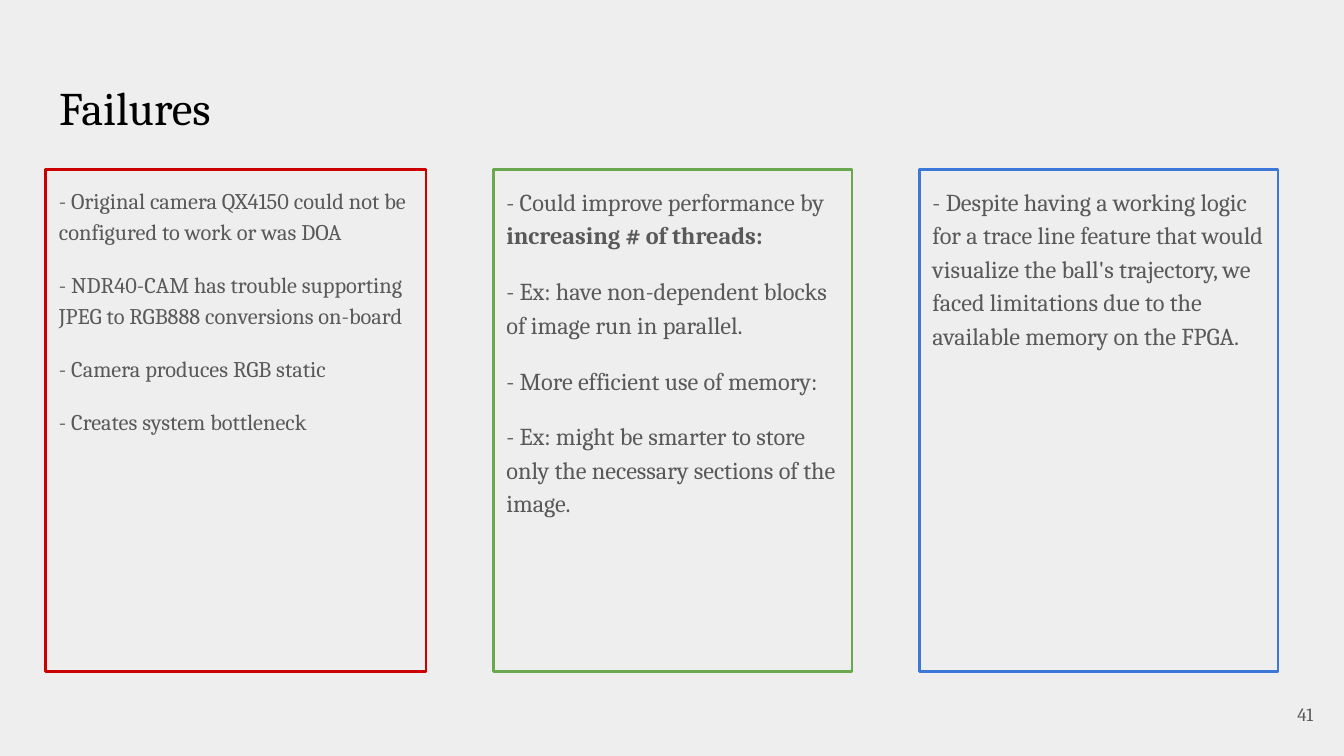
"""Build the Failures slide with three outlined columns of notes."""
from pptx import Presentation
from pptx.dml.color import RGBColor
from pptx.enum.shapes import MSO_SHAPE
from pptx.enum.text import MSO_ANCHOR, MSO_AUTO_SIZE, PP_ALIGN
from pptx.util import Inches, Pt

RECT = MSO_SHAPE.RECTANGLE
TOP, MIDDLE = MSO_ANCHOR.TOP, MSO_ANCHOR.MIDDLE
LEFT, RIGHT = PP_ALIGN.LEFT, PP_ALIGN.RIGHT
NO_FIT = MSO_AUTO_SIZE.NONE


def rgb(value):
    return RGBColor.from_string(value)


def write(tf, paragraphs, size, color="595959", align=LEFT, anchor=TOP, spacing=1.0, gap=0):
    tf.word_wrap = True
    tf.auto_size = NO_FIT
    tf.vertical_anchor = anchor
    tf.margin_left = tf.margin_right = tf.margin_top = tf.margin_bottom = Inches(0.1)
    for i, runs in enumerate(paragraphs):
        p = tf.paragraphs[0] if i == 0 else tf.add_paragraph()
        p.alignment = align
        p.line_spacing = spacing
        p.space_before = Pt(gap if i else 0)
        for j, text in enumerate(runs):
            r = p.add_run()
            r.text = text
            r.font.name = "Cambria"
            r.font.size = Pt(size)
            r.font.bold = j == 1
            r.font.color.rgb = rgb(color)


prs = Presentation()
prs.slide_width = Inches(10)
prs.slide_height = prs.slide_width * 9 // 16
s = prs.slides.add_slide(prs.slide_layouts[5])
s.background.fill.solid()
s.background.fill.fore_color.rgb = rgb("EEEEEE")

margin = Inches(0.34)
title = s.shapes.title
title.left, title.top = margin, Inches(0.49)
title.width, title.height = prs.slide_width - 2 * margin, Inches(0.63)
write(title.text_frame, [["Failures"]], size=25, color="000000")

columns = [
    (2.83, "CC0000", 12, [
        ["- Original camera QX4150 could not be configured to work or was DOA"],
        ["- NDR40-CAM has trouble supporting JPEG to RGB888 conversions on-board"],
        ["- Camera produces RGB static"],
        ["- Creates system bottleneck"],
    ]),
    (2.67, "6AA84F", 13, [
        ["- Could improve performance by ", "increasing # of threads:"],
        ["- Ex: have non-dependent blocks of image run in parallel."],
        ["- More efficient use of memory:"],
        ["- Ex: might be smarter to store only the necessary sections of the image."],
    ]),
    (2.67, "3C78D8", 13, [
        ["- Despite having a working logic for a trace line feature that would visualize "
         "the ball's trajectory, we faced limitations due to the available memory on the FPGA."],
    ]),
]
left, gutter = margin, Inches(0.5)
for width, color, size, paragraphs in columns:
    sp = s.shapes.add_shape(RECT, left, Inches(1.26), Inches(width), Inches(3.74))
    sp.shadow.inherit = False
    sp.fill.background()
    sp.line.color.rgb = rgb(color)
    sp.line.width = Pt(1.5)
    write(sp.text_frame, paragraphs, size=size, spacing=1.15, gap=12)
    left += Inches(width) + gutter

number = s.shapes.add_textbox(Inches(9.27), Inches(5.1), Inches(0.6), Inches(0.43))
write(number.text_frame, [["41"]], size=10, align=RIGHT, anchor=MIDDLE)

prs.save("out.pptx")
